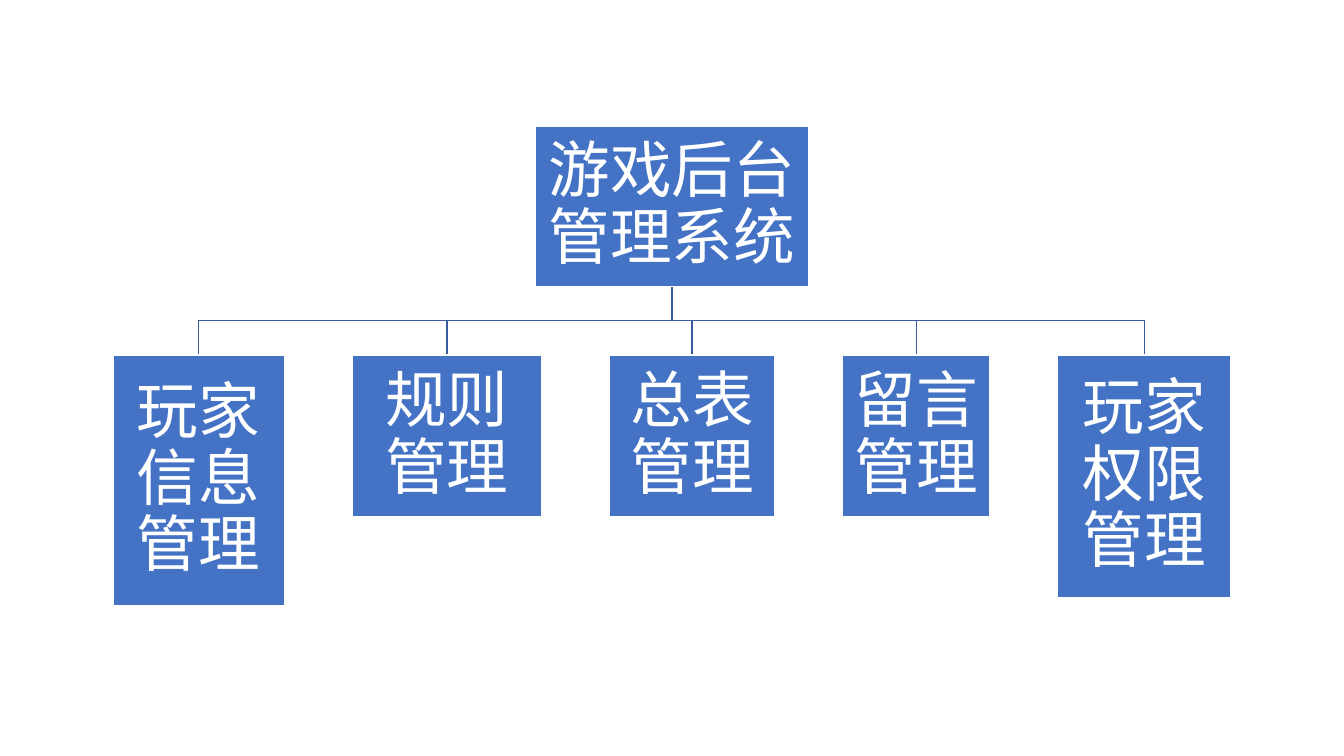
from lxml import etree
from pptx import Presentation
from pptx.dml.color import RGBColor
from pptx.enum.shapes import MSO_SHAPE
from pptx.enum.text import MSO_ANCHOR, PP_ALIGN
from pptx.oxml.ns import qn
from pptx.util import Inches, Pt

RECT = MSO_SHAPE.RECTANGLE
MIDDLE = MSO_ANCHOR.MIDDLE
CENTER = PP_ALIGN.CENTER
BLUE = RGBColor(0x44, 0x72, 0xC4)
NAVY = RGBColor(0x36, 0x5B, 0x9D)
WHITE = RGBColor(0xFF, 0xFF, 0xFF)
FONT = "Noto Sans CJK SC"

WIDE, HIGH = 13.33, 7.5
MARGIN = 1.12
ROOT_W, ROOT_H, ROOT_TOP = 2.71, 1.59, 1.25
ROW_TOP = 3.52
ITEMS = [
    ("玩家信息管理", 1.7, 2.49),
    ("规则管理", 1.88, 1.61),
    ("总表管理", 1.64, 1.61),
    ("留言管理", 1.46, 1.61),
    ("玩家权限管理", 1.72, 2.41),
]

deck = Presentation()
deck.slide_width, deck.slide_height = Inches(WIDE), Inches(HIGH)
slide = deck.slides.add_slide(deck.slide_layouts[6])

mid = WIDE / 2
base = ROOT_TOP + ROOT_H
turn = (base + ROW_TOP) / 2
gap = (WIDE - 2 * MARGIN - sum(w for _, w, _ in ITEMS)) / (len(ITEMS) - 1)

nodes = [("游戏后台管理系统", mid - ROOT_W / 2, ROOT_TOP, ROOT_W, ROOT_H)]
left = MARGIN
for label, width, height in ITEMS:
    nodes.append((label, left, ROW_TOP, width, height))
    left += width + gap

for _, left, top, width, _ in reversed(nodes[1:]):
    end = left + width / 2
    pen = slide.shapes.build_freeform(Inches(mid), Inches(base))
    turns = [(mid, turn), (end, turn), (end, top)]
    pen.add_line_segments([(Inches(x), Inches(y)) for x, y in turns], close=False)
    branch = pen.convert_to_shape()
    branch.shadow.inherit = False
    branch.fill.background()
    branch.line.color.rgb = NAVY
    branch.line.width = Pt(1)

for label, left, top, width, height in nodes:
    box = slide.shapes.add_shape(
        RECT, Inches(left), Inches(top), Inches(width), Inches(height))
    box.shadow.inherit = False
    box.fill.solid()
    box.fill.fore_color.rgb = BLUE
    box.line.color.rgb = WHITE
    box.line.width = Pt(1)

    frame = box.text_frame
    frame.text = label
    frame.word_wrap = True
    frame.vertical_anchor = MIDDLE
    frame.margin_left = frame.margin_right = Inches(0.03)
    frame.margin_top = frame.margin_bottom = Inches(0.03)

    para = frame.paragraphs[0]
    para.alignment = CENTER
    para.line_spacing = 0.9
    after = etree.SubElement(para._p.get_or_add_pPr(), qn("a:spcAft"))
    etree.SubElement(after, qn("a:spcPct")).set("val", "35000")

    font = para.runs[0].font
    font.size = Pt(44)
    font.color.rgb = WHITE
    font.name = FONT
    etree.SubElement(font._element, qn("a:ea")).set("typeface", FONT)

deck.save("out.pptx")
